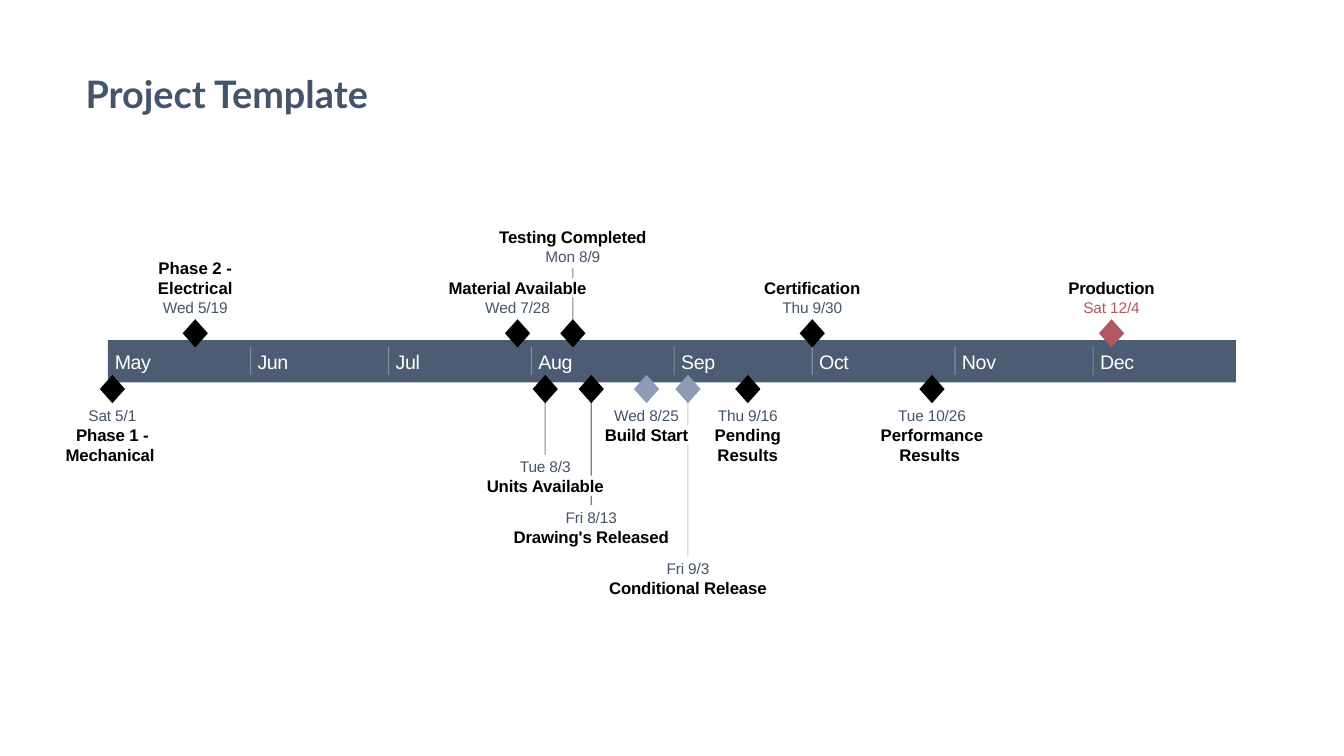
"""Build a May to December project timeline with dated milestones."""
from lxml import etree
from pptx import Presentation
from pptx.dml.color import RGBColor
from pptx.enum.shapes import MSO_CONNECTOR, MSO_SHAPE
from pptx.enum.text import MSO_ANCHOR, PP_ALIGN
from pptx.oxml.ns import qn
from pptx.util import Pt

STRAIGHT = MSO_CONNECTOR.STRAIGHT
RECTANGLE, DIAMOND = MSO_SHAPE.RECTANGLE, MSO_SHAPE.DIAMOND
MIDDLE, BOTTOM = MSO_ANCHOR.MIDDLE, MSO_ANCHOR.BOTTOM
LEFT, CENTER = PP_ALIGN.LEFT, PP_ALIGN.CENTER

BLACK = RGBColor(0x00, 0x00, 0x00)
WHITE = RGBColor(0xFF, 0xFF, 0xFF)
SLATE = RGBColor(0x44, 0x54, 0x6A)
BAND = RGBColor(0x4C, 0x5C, 0x73)
RED = RGBColor(0xB2, 0x56, 0x60)
LAVENDER = RGBColor(0x8D, 0x9B, 0xB7)

BAND_LEFT, BAND_TOP, BAND_HEIGHT = 77, 243, 30.2
DAY_WIDTH = 3.289
LEVEL_STEP = 36.5
NAME_HEIGHT = 13.7
DATE_WIDTH, DATE_HEIGHT = 54, 13
DIAMOND_WIDTH, DIAMOND_HEIGHT = 18, 20.2

MONTHS = [("May", 31), ("Jun", 30), ("Jul", 31), ("Aug", 31),
          ("Sep", 30), ("Oct", 31), ("Nov", 30), ("Dec", 31)]

ABOVE = [
    ("Phase 2 - Electrical", "Wed 5/19", 0, 2, 56.2, 0, BLACK, SLATE),
    ("Material Available", "Wed 7/28", 0, 1, 102, -10, BLACK, SLATE),
    ("Testing Completed", "Mon 8/9", 1, 1, 109, -10, BLACK, SLATE),
    ("Certification", "Thu 9/30", 0, 1, 73, -10, BLACK, SLATE),
    ("Production", "Sat 12/4", 0, 1, 66, -20, RED, RED),
]
BELOW = [
    ("Phase 1 - Mechanical ", "Sat 5/1", 0, 2, 69, -10, BLACK, SLATE),
    ("Units Available", "Tue 8/3", 1, 1, 87, -10, BLACK, SLATE),
    ("Drawing's Released", "Fri 8/13", 2, 1, 115, -10, BLACK, SLATE),
    ("Build Start", "Wed 8/25", 0, 1, 63, -10, LAVENDER, SLATE),
    ("Conditional Release", "Fri 9/3", 3, 1, 117, -10, LAVENDER, SLATE),
    ("Pending Results", "Thu 9/16", 0, 2, 51, 0, BLACK, SLATE),
    ("Performance Results ", "Tue 10/26", 0, 2, 77, 0, BLACK, SLATE),
]
LEADERS = [
    ("8/9", 191.5, 198.7, BLACK), ("8/9", 212.4, 238.3, BLACK),
    ("8/3", 277.9, 324.7, BLACK),
    ("8/13", 277.9, 339.8, BLACK), ("8/13", 354.2, 360.7, BLACK),
    ("9/3", 277.9, 303.8, LAVENDER), ("9/3", 317.5, 397.4, LAVENDER),
]

deck = Presentation()
deck.slide_width, deck.slide_height = Pt(960), Pt(540)
page = deck.slides.add_slide(deck.slide_layouts[6])


def add_rule(x, top, bottom, color, opacity):
    rule = page.shapes.add_connector(STRAIGHT, Pt(x), Pt(top), Pt(x), Pt(bottom))
    rule.line.width = Pt(0.75)
    rule.line.color.rgb = color
    properties = rule._element.spPr
    tint = properties.find(".//" + qn("a:srgbClr"))
    etree.SubElement(tint, qn("a:alpha")).set("val", str(opacity * 1000))
    etree.SubElement(properties, qn("a:effectLst"))


def add_label(text, left, top, width, height, size, color, bold=False,
              align=CENTER, wrap=False, spacing=-10):
    box = page.shapes.add_textbox(Pt(left), Pt(top), Pt(width), Pt(height))
    frame = box.text_frame
    frame.text = text
    frame.word_wrap = wrap
    frame.vertical_anchor = MIDDLE
    frame.margin_left = frame.margin_right = 0
    frame.margin_top = frame.margin_bottom = 0
    para = frame.paragraphs[0]
    para.alignment = align
    span = para.runs[0]
    span.font.name, span.font.size, span.font.bold = "Arial", Pt(size), bold
    span.font.color.rgb = color
    span._r.get_or_add_rPr().set("spc", str(spacing))


month_starts = [BAND_LEFT + DAY_WIDTH * sum(days for _, days in MONTHS[:index])
                for index in range(len(MONTHS))]
date_x = {f"{month + 5}/{day}": start + day * DAY_WIDTH
          for month, start in enumerate(month_starts)
          for day in range(1, MONTHS[month][1] + 1)}

for date, top, bottom, color in LEADERS:
    add_rule(date_x[date], top, bottom, color, 50)

band = page.shapes.add_shape(RECTANGLE, Pt(BAND_LEFT), Pt(BAND_TOP),
                             Pt(DAY_WIDTH * 245), Pt(BAND_HEIGHT))
band.shadow.inherit = False
band.fill.solid()
band.fill.fore_color.rgb = BAND
band.line.fill.background()

for (month, _), start in zip(MONTHS, month_starts):
    add_label(month, start + 5, 250.5, 36, 16, 14, WHITE, align=LEFT, spacing=-30)
for start in month_starts[1:]:
    add_rule(start, 247.7, 267.8, WHITE, 30)

for milestones, diamond_top in ((ABOVE, 228), (BELOW, 267.8)):
    for name, dated, level, lines, width, spacing, color, date_color in milestones:
        x = date_x[dated.split()[1]]
        marker = page.shapes.add_shape(
            DIAMOND, Pt(x - DIAMOND_WIDTH / 2), Pt(diamond_top),
            Pt(DIAMOND_WIDTH), Pt(DIAMOND_HEIGHT))
        marker.shadow.inherit = False
        marker.fill.solid()
        marker.fill.fore_color.rgb = color
        marker.line.fill.background()

        if milestones is ABOVE:
            date_top = 213 - level * LEVEL_STEP
            name_top = date_top - 0.6 - lines * NAME_HEIGHT
        else:
            date_top = 289.8 + level * LEVEL_STEP
            name_top = date_top + 13.9
        add_label(name, x - width / 2, name_top, width, lines * NAME_HEIGHT, 12,
                  BLACK, bold=True, wrap=lines > 1, spacing=spacing)
        add_label(dated, x - DATE_WIDTH / 2, date_top, DATE_WIDTH, DATE_HEIGHT,
                  11, date_color)

title = page.shapes.add_textbox(Pt(54), Pt(57.6), Pt(480), Pt(28.8))
title.text_frame.text = "Project Template"
title.text_frame.word_wrap = True
title.text_frame.vertical_anchor = BOTTOM
title_font = title.text_frame.paragraphs[0].runs[0].font
title_font.name, title_font.size, title_font.bold = "Lato", Pt(27), True
title_font.color.rgb = SLATE

deck.save("out.pptx")
